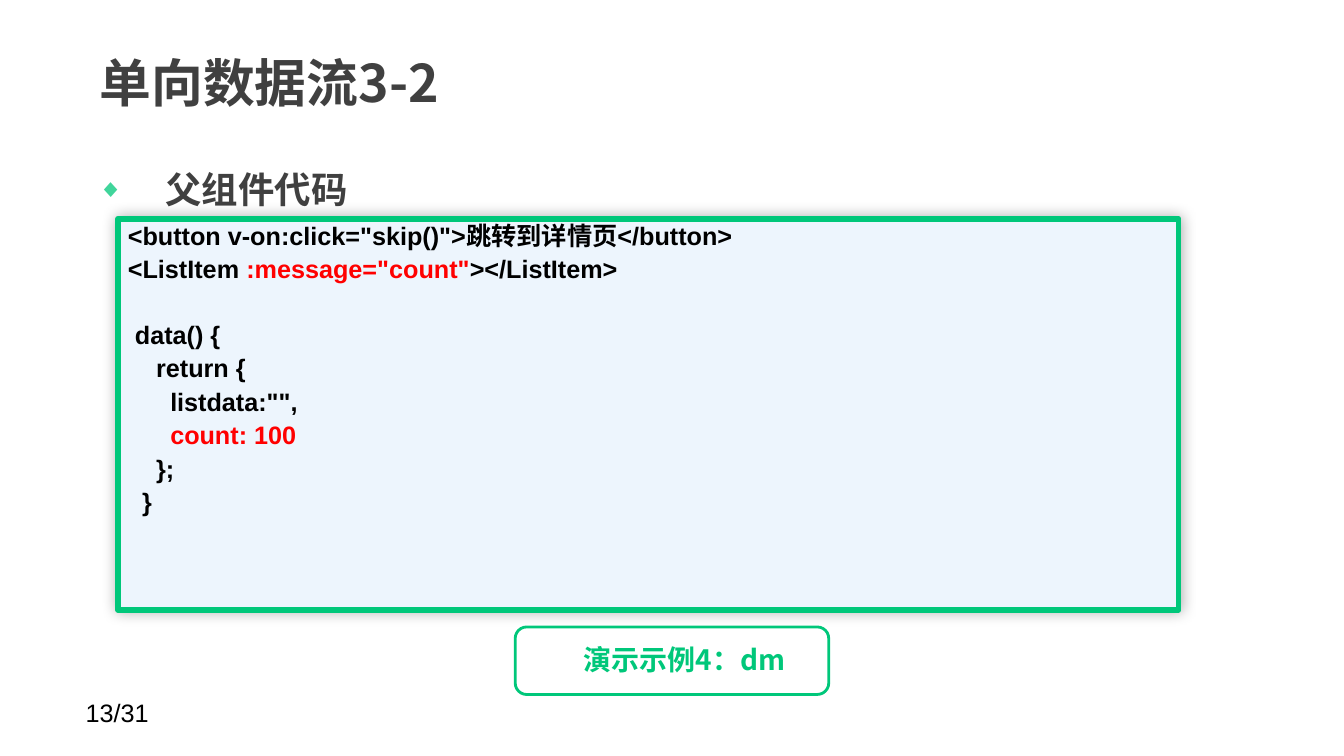
from dataclasses import dataclass

from lxml.etree import SubElement
from pptx import Presentation
from pptx.dml.color import RGBColor
from pptx.enum.shapes import MSO_SHAPE
from pptx.enum.text import MSO_ANCHOR, PP_ALIGN
from pptx.oxml.ns import qn
from pptx.util import Inches, Pt


@dataclass(frozen=True)
class Theme:
    """Colours, fonts and type sizes of the slide."""
    green: str = "00C77A"
    bullet: str = "40D59B"
    panel: str = "EDF5FD"
    grey: str = "404040"
    black: str = "000000"
    red: str = "FF0000"
    latin: str = "Arial"
    cjk: str = "Noto Sans CJK SC"
    title: int = 37
    heading: int = 26
    label: int = 20
    code: int = 18


THEME = Theme()
SPACE = 0.07
CODE_GAP = 4.4
CODE_PITCH = 23.1
CODE = [
    (0, 0, [('<button v-on:click="skip()">跳转到详情页</button>', THEME.black)]),
    (0, 0, [("<ListItem ", THEME.black), (':message="count"', THEME.red),
            ("></ListItem>", THEME.black)]),
    (1, 1, [("data() {", THEME.black)]),
    (4, 0, [("return {", THEME.black)]),
    (6, 0, [('listdata:"",', THEME.black)]),
    (6, 0, [("count: 100", THEME.red)]),
    (4, 0, [("};", THEME.black)]),
    (2, 0, [("}", THEME.black)]),
]


def add_run(p, text, size, color, font=THEME.latin, bold=True):
    """Append a formatted run with its East Asian font."""
    r = p.add_run()
    r.text = text
    r.font.name = font
    r.font.size = Pt(size)
    r.font.bold = bold
    r.font.color.rgb = RGBColor.from_string(color)
    SubElement(r.font._element, qn("a:ea"), typeface=THEME.cjk)


def add_text(s, box, text, size, color, inset=(0.1, 0.05),
             anchor=MSO_ANCHOR.TOP, **style):
    """Add a one-paragraph text box and return its paragraph."""
    tf = s.shapes.add_textbox(*map(Inches, box)).text_frame
    tf.word_wrap = True
    tf.vertical_anchor = anchor
    tf.margin_left = tf.margin_right = Inches(inset[0])
    tf.margin_top = tf.margin_bottom = Inches(inset[1])
    p = tf.paragraphs[0]
    add_run(p, text, size, color, **style)
    return p


def add_frame(s, box, radius, width):
    """Add a green-outlined rounded rectangle without fill or shadow."""
    sp = s.shapes.add_shape(MSO_SHAPE.ROUNDED_RECTANGLE, *map(Inches, box))
    sp.adjustments[0] = radius
    sp.shadow.inherit = False
    sp.fill.background()
    sp.line.color.rgb = RGBColor.from_string(THEME.green)
    sp.line.width = Pt(width)
    return sp


def add_heading(s, box, text):
    """Add the section heading with its diamond bullet."""
    p = add_text(s, box, text, THEME.heading, THEME.grey, (0.13, 0.06))
    p.line_spacing = 1.4
    p.space_before = Pt(THEME.heading * 0.2)
    pPr = p._p.get_or_add_pPr()
    pPr.set("marL", str(Inches(0.67)))
    pPr.set("indent", str(Inches(-0.67)))
    color = SubElement(pPr, qn("a:buClr"))
    SubElement(color, qn("a:srgbClr"), val=THEME.bullet)
    SubElement(pPr, qn("a:buSzPct"), val="70000")
    SubElement(pPr, qn("a:buFont"), typeface=THEME.latin)
    SubElement(pPr, qn("a:buChar"), char="◆")


def add_code_panel(s, box, lines):
    """Add the code panel with a soft shadow and indented lines."""
    sp = add_frame(s, box, 0, 4)
    sp.fill.solid()
    sp.fill.fore_color.rgb = RGBColor.from_string(THEME.panel)
    effects = sp._element.spPr.find(qn("a:effectLst"))
    shadow = SubElement(effects, qn("a:outerShdw"), blurRad=str(Pt(10)),
                        dist="0", dir="0", algn="ctr", rotWithShape="0")
    color = SubElement(shadow, qn("a:srgbClr"), val=THEME.black)
    SubElement(color, qn("a:alpha"), val="30000")
    tf = sp.text_frame
    tf.word_wrap = True
    tf.vertical_anchor = MSO_ANCHOR.TOP
    for i, (spaces, skipped, runs) in enumerate(lines):
        p = tf.add_paragraph() if i else tf.paragraphs[0]
        p.alignment = PP_ALIGN.LEFT
        p.line_spacing = 0.9
        p.space_before = Pt(CODE_GAP + skipped * CODE_PITCH)
        p._p.get_or_add_pPr().set("marL", str(Inches(spaces * SPACE)))
        for text, color in runs:
            add_run(p, text, THEME.code, color)


def add_demo_label(s, box, text):
    """Add the outlined demo label with its text inside."""
    left, top, width, height = box
    add_frame(s, box, 0.17, 2)
    add_text(s, (left + 0.58, top + 0.1, width - 0.64, height - 0.23), text,
             THEME.label, THEME.green, font=THEME.cjk)


def build_slide(prs):
    """Build the code slide on a blank layout."""
    s = prs.slides.add_slide(prs.slide_layouts[6])
    add_text(s, (0.75, 6.87, 2.33, 0.4), "13/31", THEME.code, THEME.black,
             bold=False)
    add_text(s, (0.86, 0.3, 10.41, 1.03), "单向数据流3-2", THEME.title,
             THEME.grey, (0.13, 0.06), MSO_ANCHOR.MIDDLE, font=THEME.cjk)
    add_heading(s, (0.84, 1.43, 11.69, 5.27), "父组件代码")
    add_code_panel(s, (1.17, 2.17, 10.52, 3.88), CODE)
    add_demo_label(s, (5.11, 6.22, 3.11, 0.67), "演示示例4：dm")


def main():
    """Create and save the presentation."""
    prs = Presentation()
    prs.slide_width = Inches(13.33)
    prs.slide_height = Inches(7.5)
    build_slide(prs)
    prs.save("out.pptx")


if __name__ == "__main__":
    main()
